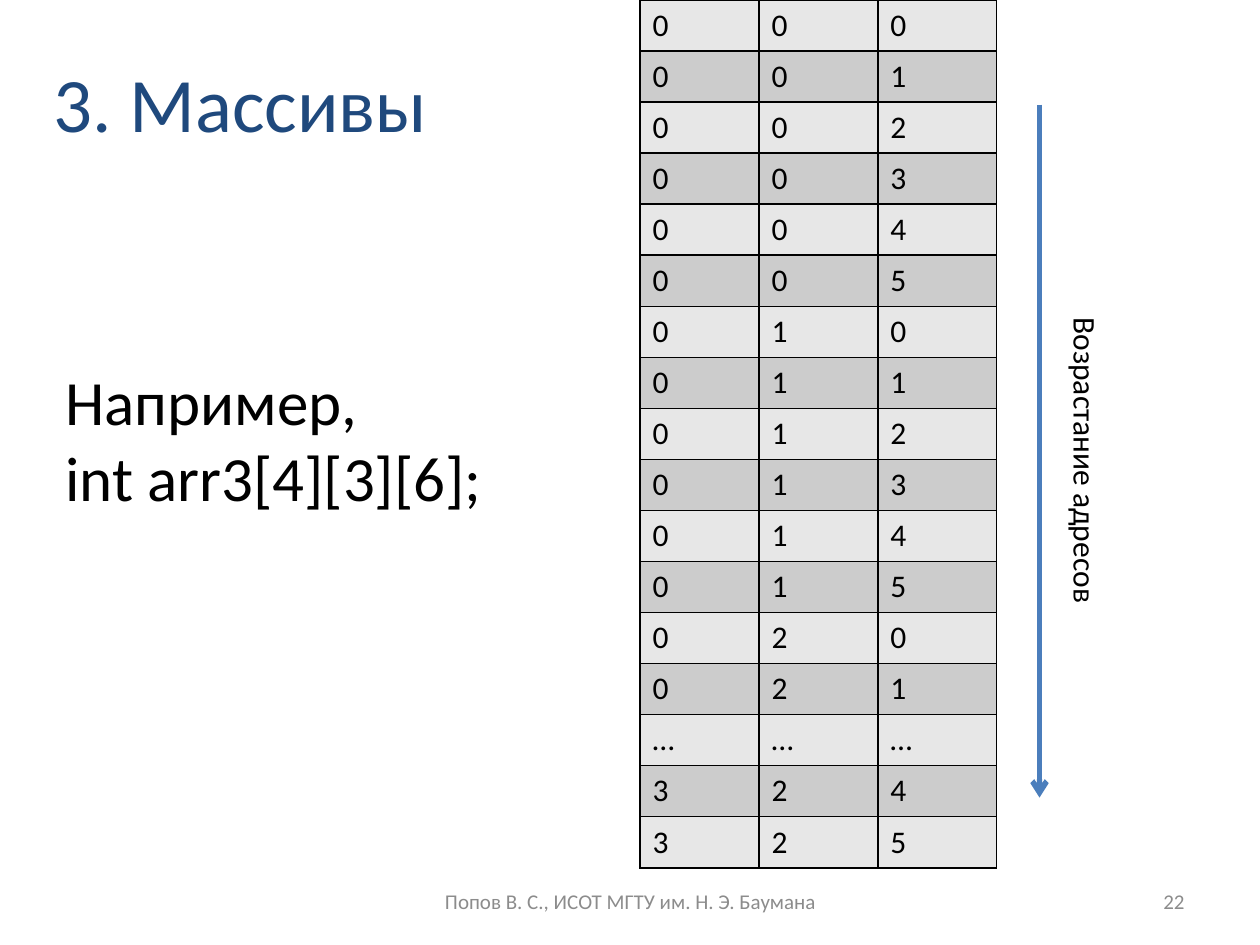
"""Build a slide showing the memory order of a three-dimensional array."""
from itertools import product

from lxml.etree import SubElement
from pptx import Presentation
from pptx.dml.color import RGBColor
from pptx.enum.shapes import MSO_CONNECTOR
from pptx.enum.text import MSO_ANCHOR, PP_ALIGN
from pptx.oxml.ns import qn
from pptx.util import Inches, Pt

FONT = "Calibri"
BLACK = RGBColor(0x00, 0x00, 0x00)
NAVY = RGBColor(0x1F, 0x49, 0x7D)
GRAY = RGBColor(0x8C, 0x8C, 0x8C)
BLUE = RGBColor(0x4B, 0x7E, 0xBC)
BANDS = (RGBColor(0xE7, 0xE7, 0xE7), RGBColor(0xCC, 0xCC, 0xCC))

DIMENSIONS = (4, 3, 6)
FIRST_COUNT, LAST_COUNT = 14, 2
TABLE_BOX = (5.08, 0, 2.83, 6.89)
ARROW_X, ARROW_TOP, ARROW_BOTTOM = 8.25, 0.83, 6.33

TEXTS = [
    {"lines": ["3. Массивы"], "box": (0.33, 0, 8.17, 1.61),
     "size": 44, "color": NAVY, "anchor": MSO_ANCHOR.MIDDLE},
    {"lines": ["Например,", "int arr3[4][3][6];"], "box": (0.42, 2.83, 9.33, 1.92),
     "size": 36},
    {"lines": ["22"], "box": (7.17, 6.95, 2.33, 0.4), "size": 12, "color": GRAY,
     "anchor": MSO_ANCHOR.MIDDLE, "alignment": PP_ALIGN.RIGHT},
    {"lines": ["Попов В. С., ИСОТ МГТУ им. Н. Э. Баумана"],
     "box": (3.42, 6.95, 3.17, 0.4), "size": 12, "color": GRAY,
     "anchor": MSO_ANCHOR.MIDDLE, "alignment": PP_ALIGN.CENTER},
    {"lines": ["Возрастание адресов"], "box": (6.83, 4.01, 3.58, 0.4),
     "size": 18, "rotation": 90},
]


def format_paragraph(paragraph, size, color=BLACK):
    values = {"name": FONT, "size": Pt(size)}
    for name, value in values.items():
        setattr(paragraph.font, name, value)
    paragraph.font.color.rgb = color


def add_text(slide, lines, box, size, color=BLACK, anchor=MSO_ANCHOR.TOP,
             alignment=PP_ALIGN.LEFT, rotation=0):
    shape = slide.shapes.add_textbox(*map(Inches, box))
    shape.rotation = rotation
    frame = shape.text_frame
    frame.word_wrap = True
    frame.vertical_anchor = anchor
    frame.text = "\n".join(lines)
    for paragraph in frame.paragraphs:
        paragraph.alignment = alignment
        format_paragraph(paragraph, size, color)


def add_borders(cell):
    properties = cell._tc.get_or_add_tcPr()
    for position, side in enumerate(("lnL", "lnR", "lnT", "lnB")):
        line = properties.makeelement(qn(f"a:{side}"), {"w": str(Pt(1))})
        fill = SubElement(line, qn("a:solidFill"))
        SubElement(fill, qn("a:srgbClr"), val=str(BLACK))
        properties.insert(position, line)


def add_index_table(slide):
    indices = list(product(*map(range, DIMENSIONS)))
    ellipsis = ("…",) * len(DIMENSIONS)
    rows = indices[:FIRST_COUNT] + [ellipsis] + indices[-LAST_COUNT:]
    table = slide.shapes.add_table(
        len(rows), len(DIMENSIONS), *map(Inches, TABLE_BOX)).table
    for row_number, row in enumerate(rows):
        for column_number, value in enumerate(row):
            cell = table.cell(row_number, column_number)
            cell.text = str(value)
            cell.fill.solid()
            cell.fill.fore_color.rgb = BANDS[row_number % 2]
            format_paragraph(cell.text_frame.paragraphs[0], 18)
            add_borders(cell)


def add_address_arrow(slide):
    ends = map(Inches, (ARROW_X, ARROW_TOP, ARROW_X, ARROW_BOTTOM))
    arrow = slide.shapes.add_connector(MSO_CONNECTOR.STRAIGHT, *ends)
    arrow.line.color.rgb = BLUE
    arrow.line.width = Pt(3)
    SubElement(arrow.line._get_or_add_ln(), qn("a:tailEnd"), type="arrow")
    SubElement(arrow._element.spPr, qn("a:effectLst"))


def main():
    presentation = Presentation()
    presentation.slide_width = Inches(10)
    presentation.slide_height = Inches(7.5)
    slide = presentation.slides.add_slide(presentation.slide_layouts[6])
    for text in TEXTS:
        add_text(slide, **text)
    add_index_table(slide)
    add_address_arrow(slide)
    presentation.save("out.pptx")


if __name__ == "__main__":
    main()
